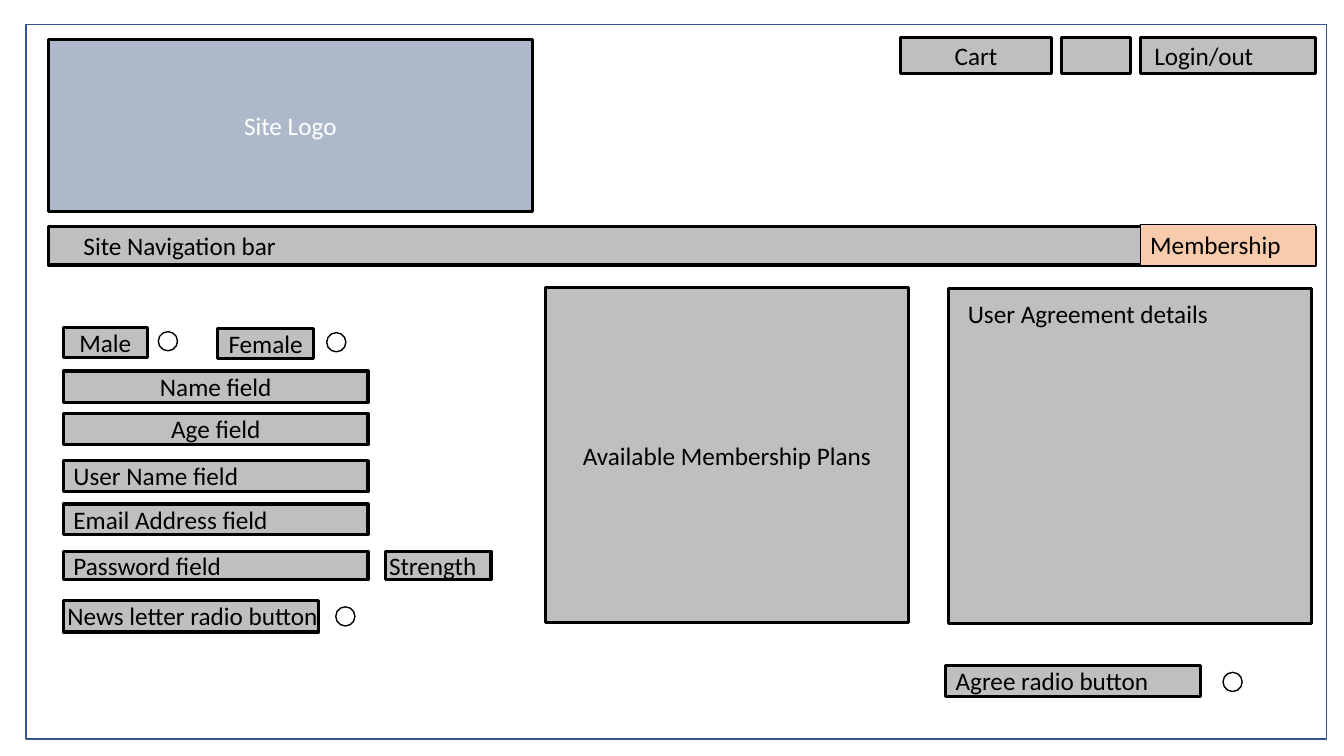
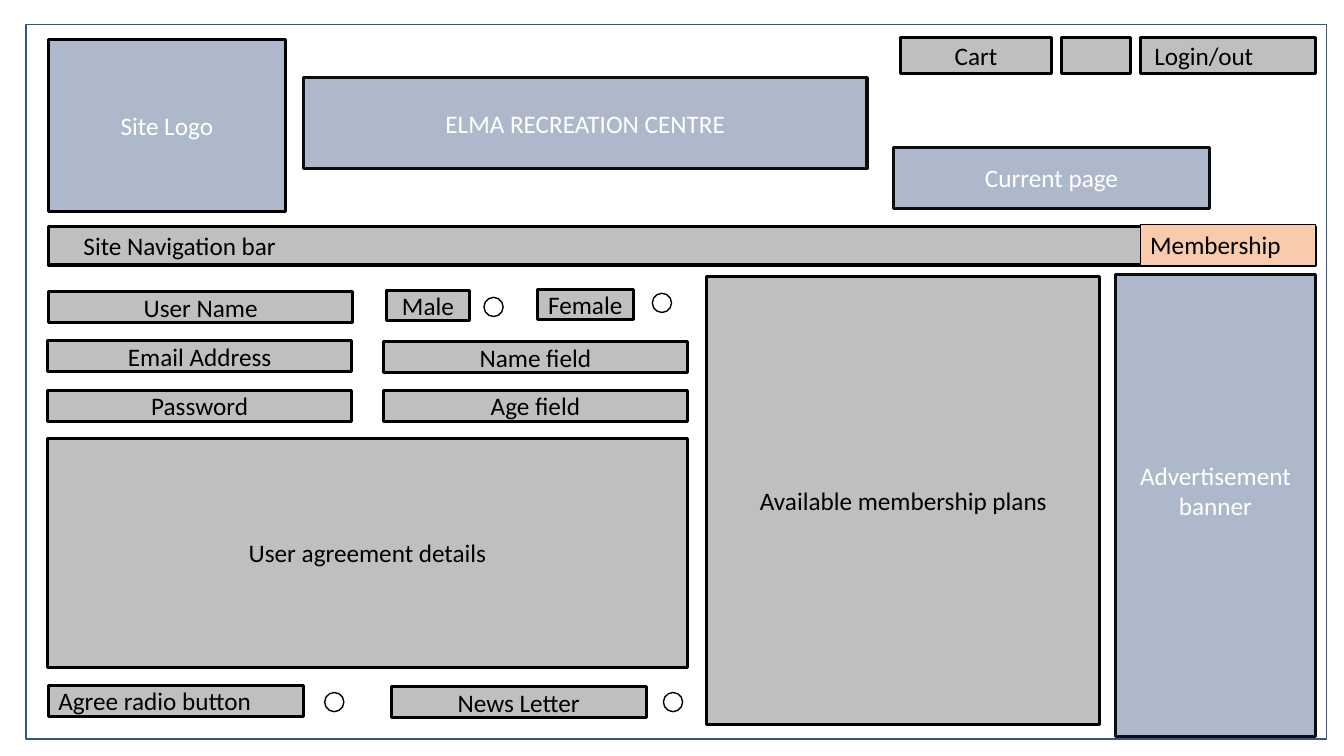
from pptx import Presentation
from pptx.dml.color import RGBColor
from pptx.enum.shapes import MSO_SHAPE
from pptx.enum.text import MSO_ANCHOR, PP_ALIGN
from pptx.util import Emu, Pt

FONT, SIZE = "Calibri", 18
BLACK, INK, WHITE = "000000", "0D0D0D", "FFFFFF"
GREY, BLUE, PEACH, FRAME = "BFBFBF", "ADB9CA", "F8CBAD", "325491"
LABEL_H, RADIO = 40, 19
FIELD_W, BUTTON_W, ROW_H = 302, 253, 31


def px(n):
    """Turn px, 100 to the inch, into EMU."""
    return Emu(n * 9144)


def color(value):
    """Turn a hex string into a colour."""
    return RGBColor.from_string(value)


def write(tf, text, ink, align):
    """Put one styled paragraph in a text frame."""
    tf.word_wrap = True
    p = tf.paragraphs[0]
    p.text, p.alignment = text, align
    p.font.name, p.font.size = FONT, Pt(SIZE)
    p.font.color.rgb = color(ink)


def box(s, x, y, w, h, text="", fill=GREY, ink=BLACK, line=BLACK, weight=2.25,
        kind=MSO_SHAPE.RECTANGLE):
    """Draw an outlined shape with optional centred text."""
    sp = s.shapes.add_shape(kind, px(x), px(y), px(w), px(h))
    sp.shadow.inherit = False
    if fill:
        sp.fill.solid()
        sp.fill.fore_color.rgb = color(fill)
    else:
        sp.fill.background()
    sp.line.color.rgb = color(line)
    sp.line.width = Pt(weight)
    if text:
        sp.text_frame.vertical_anchor = MSO_ANCHOR.MIDDLE
        write(sp.text_frame, text, ink, PP_ALIGN.CENTER)
    return sp


def banner(s, x, y, w, h, text, line=INK):
    """Draw a blue block with white text."""
    return box(s, x, y, w, h, text, BLUE, WHITE, line)


def label(s, x, y, w, text):
    """Add a left-aligned line of text."""
    tb = s.shapes.add_textbox(px(x), px(y), px(w), px(LABEL_H))
    write(tb.text_frame, text, BLACK, PP_ALIGN.LEFT)


def field(s, x, y, w, h, text, dx=0, **style):
    """Draw a box with a left-aligned label, shifted by dx."""
    box(s, x, y, w, h, **style)
    label(s, x + dx, y + (h - LABEL_H) // 2, w + 20, text)


def radios(s, spots):
    """Draw a radio button at each spot."""
    for x, y in spots:
        box(s, x, y, RADIO, RADIO, fill=None, weight=1, kind=MSO_SHAPE.OVAL)


def add_page(prs, logo_w):
    """Add a slide with the shared page frame, header and navigation."""
    s = prs.slides.add_slide(prs.slide_layouts[6])
    box(s, 26, 24, 1290, 709, fill=None, line=FRAME, weight=1)
    banner(s, 48, 39, logo_w, 171, "Site Logo", BLACK)
    box(s, 893, 37, 150, 36, "Cart")
    box(s, 1053, 37, 68, 36)
    field(s, 1131, 37, 174, 36, "Login/out", 4)
    field(s, 48, 225, 1257, 38, "Site Navigation bar", 25)
    field(s, 1131, 223, 174, 40, "Membership", fill=PEACH, weight=0.75)
    return s


def add_form_page(prs):
    """Build the page with a single column of fields."""
    s = add_page(prs, 480)
    box(s, 63, 325, 83, 30, "Male")
    box(s, 216, 326, 95, 30, "Female")
    for y, text in ((368, "Name field"), (410, "Age field")):
        box(s, 63, y, FIELD_W, ROW_H, text)
    for y, h, text in ((457, 31, "User Name field"),
                       (500, 30, "Email Address field"),
                       (547, 28, "Password field")):
        field(s, 63, y, FIELD_W, h, text)
    field(s, 382, 547, 105, 28, "Strength", -6)
    field(s, 63, 596, BUTTON_W, ROW_H, "News letter radio button", -6)
    box(s, 541, 285, 360, 333, "Available Membership Plans")
    box(s, 941, 286, 360, 333)
    label(s, 950, 291, 345, "User Agreement details")
    field(s, 938, 660, BUTTON_W, ROW_H, "Agree radio button")
    radios(s, ((157, 329), (324, 330), (333, 602), (1213, 667)))


def add_banner_page(prs):
    """Build the page with two columns of fields and a side banner."""
    s = add_page(prs, 235)
    banner(s, 301, 77, 559, 90, "ELMA RECREATION CENTRE")
    banner(s, 886, 146, 314, 61, "Current page")
    advert = banner(s, 1106, 272, 199, 459, "Advertisement banner")
    advert.text_frame.margin_bottom = px(35)
    for x, y, text in ((48, 289, "User Name"), (47, 338, "Email Address"),
                       (47, 387, "Password"), (380, 339, "Name field"),
                       (380, 387, "Age field")):
        box(s, x, y, FIELD_W, ROW_H, text)
    box(s, 383, 288, 83, 30, "Male")
    box(s, 533, 287, 95, 30, "Female")
    box(s, 47, 435, 635, 227, "User agreement details")
    box(s, 701, 274, 390, 445, "Available membership plans")
    field(s, 48, 680, BUTTON_W, ROW_H, "Agree radio button")
    box(s, 388, 681, BUTTON_W, ROW_H, "News Letter")
    radios(s, ((480, 295), (647, 291), (322, 687), (658, 687)))


def main():
    """Build and save the presentation."""
    prs = Presentation()
    prs.slide_width, prs.slide_height = px(1333), px(750)
    add_form_page(prs)
    add_banner_page(prs)
    prs.save("out.pptx")


if __name__ == "__main__":
    main()
